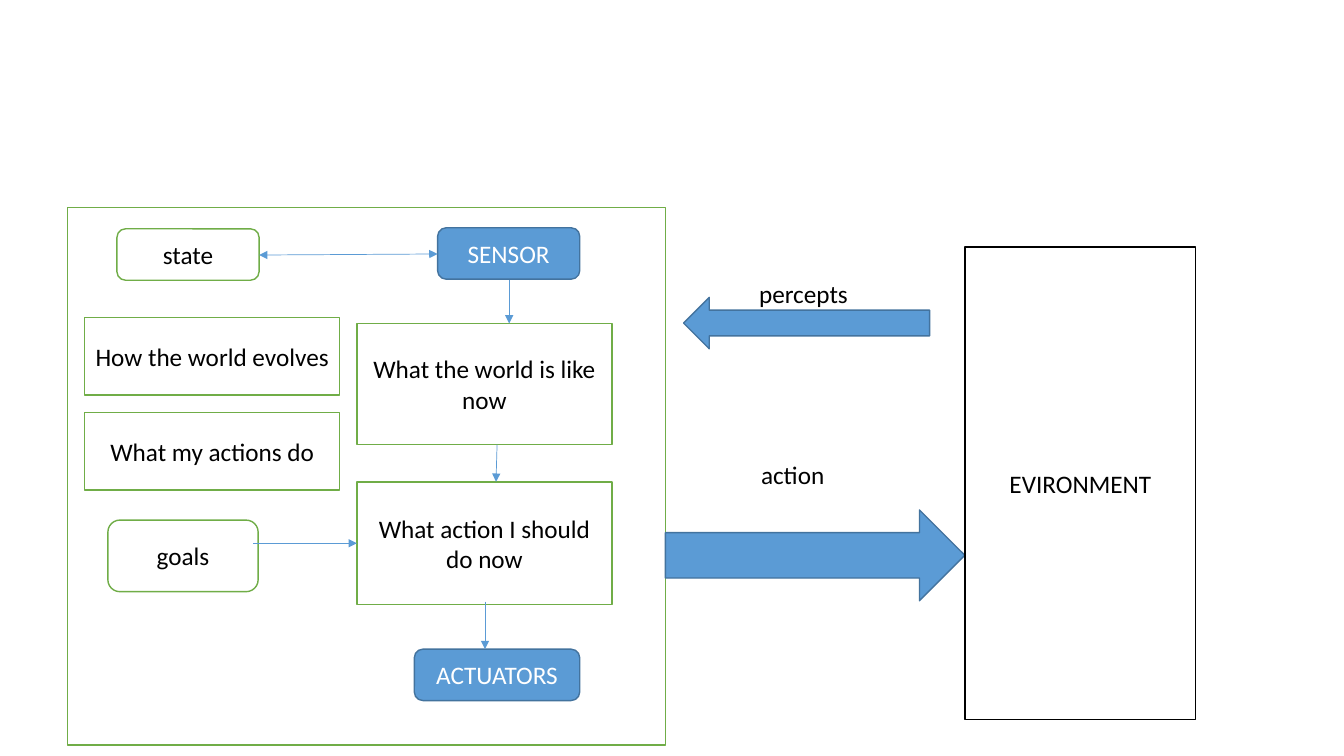
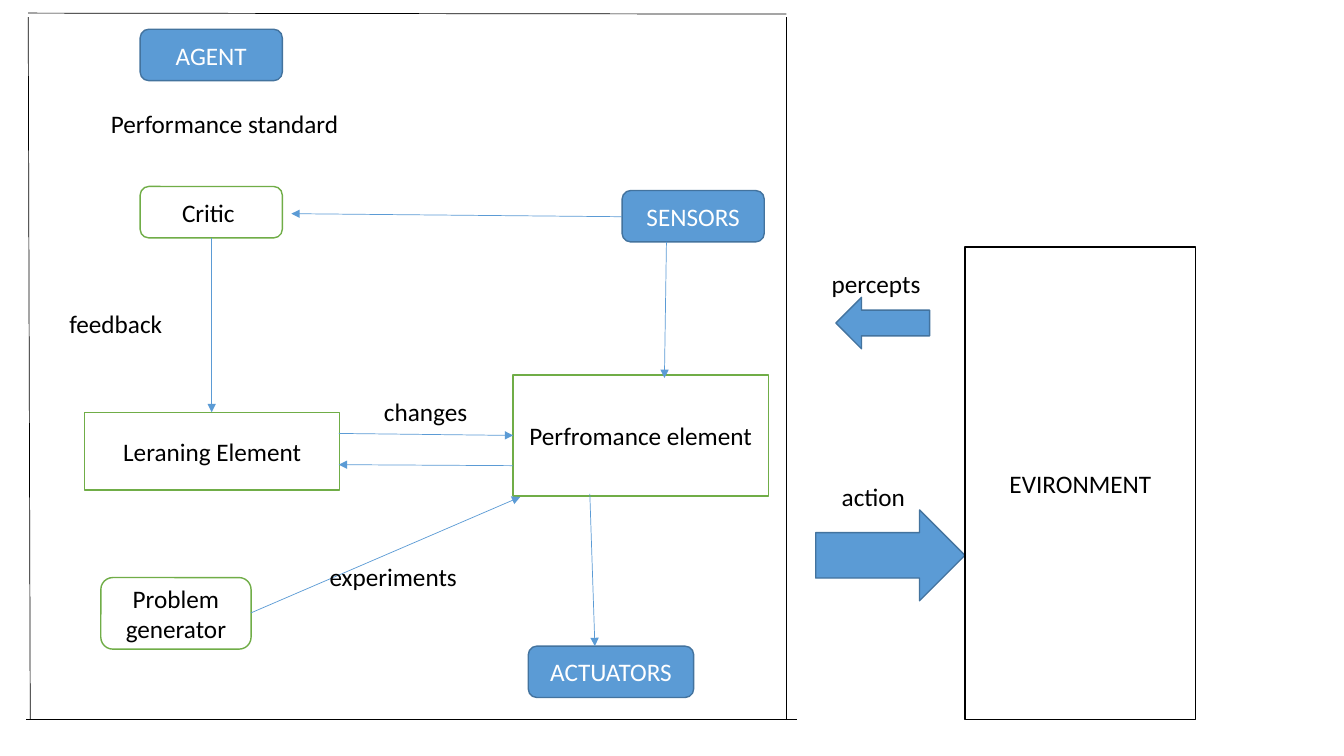
from lxml.etree import SubElement as Sub
from pptx import Presentation
from pptx.dml.color import RGBColor
from pptx.enum.shapes import MSO_CONNECTOR as Link, MSO_SHAPE as Shape
from pptx.enum.text import MSO_ANCHOR as Anchor, PP_ALIGN as Align
from pptx.oxml.ns import qn
from pptx.util import Inches, Pt

BLACK = RGBColor(0x00, 0x00, 0x00)
WHITE = RGBColor(0xFF, 0xFF, 0xFF)
GREEN = RGBColor(0x70, 0xAD, 0x47)
BLUE = RGBColor(0x5B, 0x9B, 0xD5)
NAVY = RGBColor(0x43, 0x73, 0x9E)
FONT = "Calibri"
PILL = (1.41, 0.51)
WIDE = (1.64, 0.51)
ROUND = (1.49, 0.71)
LOW = (2.53, 0.77)
TALL = (2.53, 1.2)


def write(frame, text, color=BLACK, size=18, align=Align.LEFT, anchor=Anchor.TOP, wrap=True):
    """Put formatted text into a text frame."""
    frame.word_wrap = wrap
    frame.vertical_anchor = anchor
    para = frame.paragraphs[0]
    para.alignment = align
    run = para.add_run()
    run.text = text
    run.font.name = FONT
    run.font.size = Pt(size)
    run.font.color.rgb = color


def block(slide, kind, spot, size, text="", fill=WHITE, line=GREEN, color=BLACK):
    """Add a filled, outlined shape with centred text."""
    shape = slide.shapes.add_shape(kind, *map(Inches, (*spot, *size)))
    shape.shadow.inherit = False
    shape.fill.solid()
    shape.fill.fore_color.rgb = fill
    shape.line.color.rgb = line
    shape.line.width = Pt(1)
    if text:
        write(shape.text_frame, text, color=color, align=Align.CENTER, anchor=Anchor.MIDDLE)


def box(slide, spot, size, text=""):
    """Add a square-cornered green box."""
    block(slide, Shape.RECTANGLE, spot, size, text)


def node(slide, spot, size, text):
    """Add a rounded green box."""
    block(slide, Shape.ROUNDED_RECTANGLE, spot, size, text)


def port(slide, spot, size, text):
    """Add a rounded solid blue box."""
    block(slide, Shape.ROUNDED_RECTANGLE, spot, size, text, fill=BLUE, line=NAVY, color=WHITE)


def label(slide, spot, width, text, wrap=True):
    """Add a free label."""
    area = slide.shapes.add_textbox(*map(Inches, (*spot, width, 0.4)))
    write(area.text_frame, text, wrap=wrap)


def link(slide, start, end, color=BLUE, tips=("tailEnd",)):
    """Add a thin line with arrow tips."""
    line = slide.shapes.add_connector(Link.STRAIGHT, *map(Inches, (*start, *end)))
    line.line.color.rgb = color
    line.line.width = Pt(0.5)
    edge = line.line._get_or_add_ln()
    for tip in tips:
        Sub(edge, qn("a:" + tip), type="triangle")
    Sub(line._element.spPr, qn("a:effectLst"))


def world(slide, left, start, sense, act):
    """Add the environment with its percept and action arrows."""
    edge = 9.57
    block(slide, Shape.LEFT_ARROW, (left, 2.95), (9.22 - left, 0.51), fill=BLUE, line=NAVY)
    block(slide, Shape.RIGHT_ARROW, (start, 5.06), (edge - start, 0.9), fill=BLUE, line=NAVY)
    block(slide, Shape.RECTANGLE, (edge, 2.45), (2.29, 4.69), "EVIRONMENT", line=BLACK)
    label(slide, sense, 1.09, "percepts", wrap=False)
    label(slide, act, 0.84, "action", wrap=False)


def goal_slide(slide):
    """Draw the goal-based agent."""
    box(slide, (0.67, 2.06), (5.93, 5.33))
    node(slide, (1.07, 5.16), ROUND, "goals")
    box(slide, (3.54, 3.21), TALL, "What the world is like now")
    box(slide, (3.54, 4.78), (2.53, 1.22), "What action I should do now")
    node(slide, (1.16, 2.27), PILL, "state")
    port(slide, (4.34, 2.26), PILL, "SENSOR")
    port(slide, (4.11, 6.44), WIDE, "ACTUATORS")
    box(slide, (0.84, 3.15), LOW, "How the world evolves")
    box(slide, (0.84, 4.09), LOW, "What my actions do")
    for start, end in (
        ((5.05, 2.78), (5.05, 3.21)),
        ((4.93, 4.41), (4.92, 4.78)),
        ((4.81, 5.97), (4.81, 6.44)),
        ((2.51, 5.39), (3.54, 5.39)),
    ):
        link(slide, start, end)
    link(slide, (2.57, 2.53), (4.34, 2.52), tips=("headEnd", "tailEnd"))
    world(slide, 6.78, 6.6, (7.43, 2.71), (7.45, 4.51))


def learn_slide(slide):
    """Draw the learning agent."""
    node(slide, (1, 5.73), ROUND, "Problem generator")
    box(slide, (5.09, 3.72), TALL, "Perfromance element")
    node(slide, (1.39, 1.85), PILL, "Critic ")
    port(slide, (6.17, 1.89), PILL, "SENSORS")
    port(slide, (5.24, 6.41), WIDE, "ACTUATORS")
    box(slide, (0.84, 4.09), LOW, "Leraning Element")
    port(slide, (1.39, 0.29), PILL, "AGENT")
    for start, end in (
        ((6.61, 2.4), (6.59, 3.75)),
        ((5.85, 4.9), (5.9, 6.41)),
        ((2.49, 6.08), (5.16, 4.93)),
        ((3.36, 4.3), (5.09, 4.32)),
        ((5.09, 4.62), (3.36, 4.61)),
        ((6.17, 2.15), (2.89, 2.12)),
        ((2.1, 2.36), (2.1, 4.09)),
    ):
        link(slide, start, end)
    for start, end in (
        ((0.28, 0.17), (0.3, 7.14)),
        ((0.28, 0.13), (7.8, 0.14)),
        ((7.8, 0.17), (7.8, 7.14)),
        ((0.26, 7.14), (7.9, 7.14)),
    ):
        link(slide, start, end, color=BLACK, tips=())
    for spot, width, text in (
        ((3.17, 5.52), 1.56, "experiments"),
        ((3.71, 3.88), 1.28, "changes"),
        ((0.59, 3.01), 1.36, "feedback"),
        ((1, 1.03), 2.71, "Performance standard"),
    ):
        label(slide, spot, width, text)
    world(slide, 8.29, 8.09, (8.15, 2.61), (8.25, 4.73))


def main():
    """Build and save the deck."""
    deck = Presentation()
    deck.slide_width = Inches(13.33)
    deck.slide_height = Inches(7.5)
    blank = deck.slide_layouts[6]
    for draw in (goal_slide, learn_slide):
        draw(deck.slides.add_slide(blank))
    deck.save("out.pptx")


if __name__ == "__main__":
    main()
